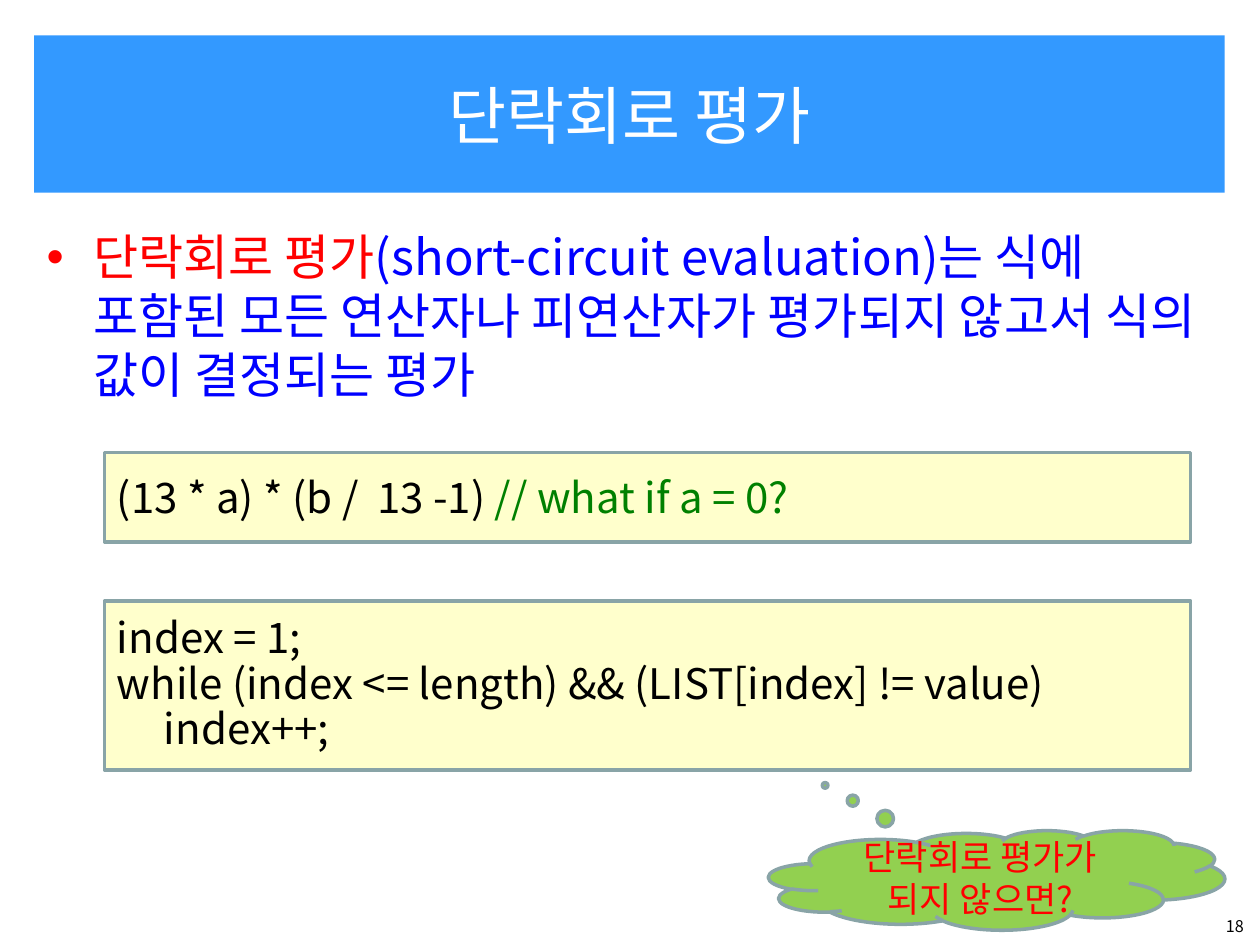
from typing import NamedTuple

from lxml.etree import SubElement
from pptx import Presentation
from pptx.dml.color import RGBColor
from pptx.enum.shapes import MSO_SHAPE as Shape
from pptx.enum.text import MSO_ANCHOR as Anchor, MSO_AUTO_SIZE as AutoSize, PP_ALIGN as Align
from pptx.oxml.ns import qn
from pptx.util import Inches, Pt

FONT = "Noto Sans CJK KR"
WHITE = RGBColor(0xFF, 0xFF, 0xFF)
BLACK = RGBColor(0, 0, 0)
RED = RGBColor(0xFF, 0, 0)
BLUE = RGBColor(0, 0, 0xFF)
GREEN = RGBColor(0, 0x80, 0)
SKY = RGBColor(0x33, 0x99, 0xFF)
CREAM = RGBColor(0xFF, 0xFF, 0xCC)
LIME = RGBColor(0x92, 0xD0, 0x50)
SLATE = RGBColor(0x89, 0xA4, 0xA7)


class Span(NamedTuple):
    text: str
    color: RGBColor = BLACK


class Panel(NamedTuple):
    kind: Shape
    box: tuple[float, float, float, float]
    fill: RGBColor
    lines: list[list[Span]]
    size: float = 24
    align: Align = Align.LEFT
    spacing: float = 1.0
    adjustments: tuple[float, ...] = ()


PANELS = [
    Panel(Shape.RECTANGLE, (0.83, 3.59, 8.62, 0.71), CREAM,
          [[Span("(13 * a) * (b /  13 -1)\t"), Span("// what if a = 0?", GREEN)]]),
    Panel(Shape.RECTANGLE, (0.83, 4.77, 8.62, 1.34), CREAM,
          [[Span("index = 1;")],
           [Span("while (index <= length) && (LIST[index] != value)")],
           [Span("     index++;")]], spacing=0.9),
    Panel(Shape.CLOUD_CALLOUT, (6.1, 6.59, 3.62, 0.79), LIME,
          [[Span("단락회로 평가가 되지 않으면?", RED)]],
          size=20, align=Align.CENTER, adjustments=(-0.376, -0.952)),
]


def place(shape, box: tuple[float, float, float, float]) -> None:
    shape.left, shape.top, shape.width, shape.height = map(Inches, box)


def write(tf, lines: list[list[Span]], size: float,
          align: Align = Align.LEFT, spacing: float = 1.0) -> None:
    tf.word_wrap = True
    tf.auto_size = AutoSize.NONE
    for i, spans in enumerate(lines):
        p = tf.add_paragraph() if i else tf.paragraphs[0]
        p.alignment = align
        p.line_spacing = spacing
        p.space_before = Pt(0)
        p.font.size = Pt(size)
        p.font.name = FONT
        for span in spans:
            r = p.add_run()
            r.text = span.text
            r.font.color.rgb = span.color
            SubElement(r.font._element, qn("a:ea"), typeface=FONT)


def draw_panel(s, panel: Panel) -> None:
    sp = s.shapes.add_shape(panel.kind, *map(Inches, panel.box))
    sp.shadow.inherit = False
    for i, value in enumerate(panel.adjustments):
        sp.adjustments[i] = value
    sp.fill.solid()
    sp.fill.fore_color.rgb = panel.fill
    sp.line.color.rgb = SLATE
    sp.line.width = Pt(2)
    sp.text_frame.vertical_anchor = Anchor.MIDDLE
    write(sp.text_frame, panel.lines, panel.size, panel.align, panel.spacing)


def main() -> None:
    prs = Presentation()
    prs.slide_width, prs.slide_height = Inches(10), Inches(7.5)
    s = prs.slides.add_slide(prs.slide_layouts[1])

    title = s.shapes.title
    place(title, (0.27, 0.28, 9.45, 1.25))
    title.fill.solid()
    title.fill.fore_color.rgb = SKY
    write(title.text_frame, [[Span("단락회로 평가", WHITE)]], 36, Align.CENTER)

    body = s.placeholders[1]
    place(body, (0.27, 1.75, 9.45, 5.54))
    write(body.text_frame, [[
        Span("단락회로 평가", RED),
        Span("(short-circuit evaluation)는 식에 포함된 모든 연산자나 피연산자가 "
             "평가되지 않고서 식의 값이 결정되는 평가", BLUE),
    ]], 28)

    number = s.shapes.add_textbox(*map(Inches, (9.3, 7.22, 0.67, 0.28)))
    write(number.text_frame, [[Span("18")]], 9.2, Align.RIGHT)

    for panel in PANELS:
        draw_panel(s, panel)

    prs.save("out.pptx")


if __name__ == "__main__":
    main()
